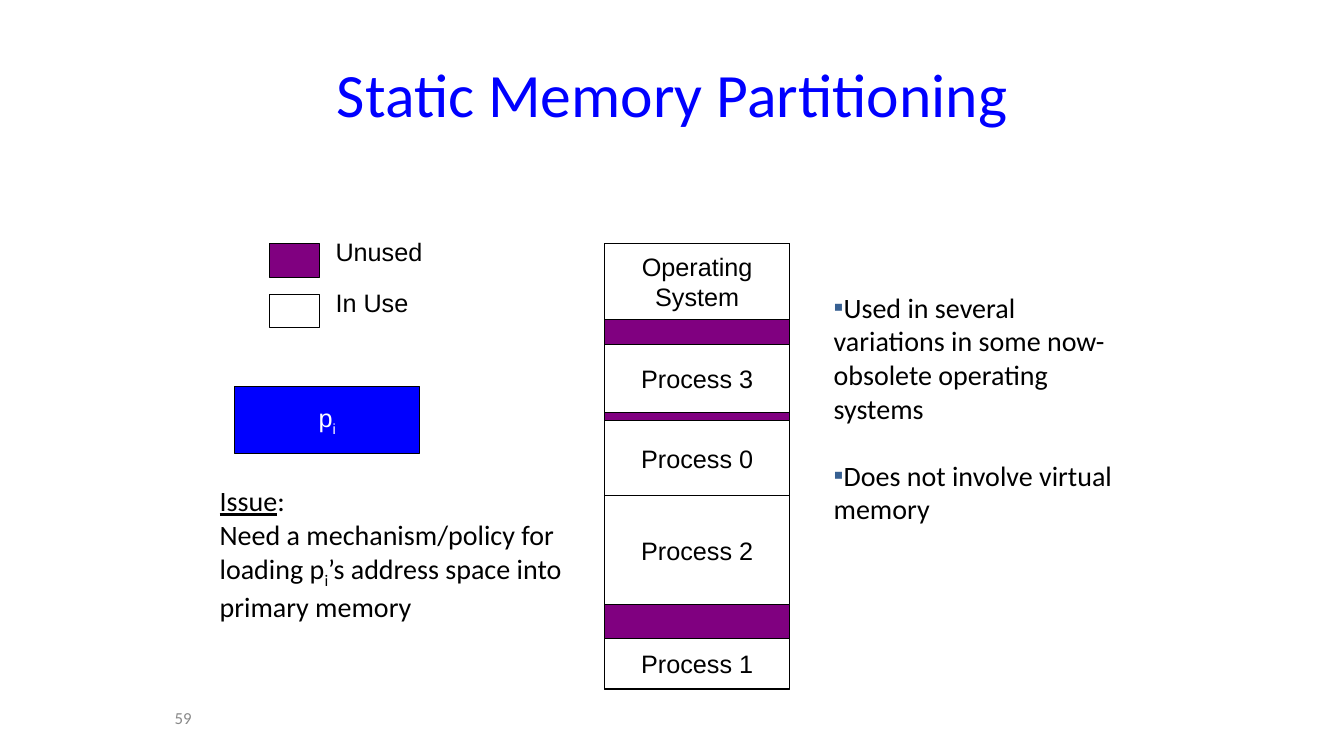
from dataclasses import dataclass

from lxml import etree
from pptx import Presentation
from pptx.dml.color import RGBColor
from pptx.enum.shapes import MSO_SHAPE
from pptx.enum.text import MSO_ANCHOR, PP_ALIGN
from pptx.oxml.ns import qn
from pptx.util import Inches, Pt

RECTANGLE = MSO_SHAPE.RECTANGLE
MIDDLE, TOP = MSO_ANCHOR.MIDDLE, MSO_ANCHOR.TOP
LEFT, CENTER, RIGHT = PP_ALIGN.LEFT, PP_ALIGN.CENTER, PP_ALIGN.RIGHT

COLORS = {
    "blue": "0000FF",
    "purple": "800080",
    "white": "FFFFFF",
    "black": "000000",
    "gray": "898989",
    "bullet": "376092",
}
TITLE_FORMAT = {"name": "Calibri", "size": Pt(44)}
BODY_FORMAT = {"name": "Calibri", "size": Pt(20)}
LABEL_FORMAT = {"name": "Arial", "size": Pt(18)}
NUMBER_FORMAT = {"name": "Calibri", "size": Pt(12)}


@dataclass
class Box:
    left: float
    top: float
    width: float
    height: float

    def lengths(self) -> list:
        return [Inches(value) for value in (self.left, self.top, self.width, self.height)]


@dataclass
class Piece:
    text: str
    underline: bool = False
    subscript: bool = False


@dataclass
class Partition:
    lines: list[str]
    height: float
    unused_above: float = 0


@dataclass
class LegendEntry:
    label: str
    color: str
    width: float


MEMORY = Box(6, 2.42, 1.83, 4.42)
PARTITIONS = [
    Partition(["Operating", "System"], 0.75),
    Partition(["Process 3"], 0.67, 0.25),
    Partition(["Process 0"], 0.75, 0.08),
    Partition(["Process 2"], 1.08),
    Partition(["Process 1"], 0.5, 0.33),
]
LEGEND = [LegendEntry("Unused", "purple", 1.07), LegendEntry("In Use", "white", 0.93)]
LEGEND_STEP = 0.5
ISSUE = [
    [Piece("Issue", underline=True), Piece(":")],
    [
        Piece("Need a mechanism/policy for loading p"),
        Piece("i", subscript=True),
        Piece("’s address space into primary memory"),
    ],
]
REMARKS = [
    "Used in several variations in some now-obsolete operating systems",
    "Does not involve virtual memory",
]


def plain(lines: list[str]) -> list[list[Piece]]:
    return [[Piece(line)] for line in lines]


def add_bullet(paragraph) -> None:
    properties = paragraph._p.get_or_add_pPr()
    properties.set("marL", "0")
    properties.set("indent", "0")
    color = etree.SubElement(properties, qn("a:buClr"))
    etree.SubElement(color, qn("a:srgbClr"), val=COLORS["bullet"])
    etree.SubElement(properties, qn("a:buFont"), typeface="Arial")
    etree.SubElement(properties, qn("a:buChar"), char="▪")


def write(shape, paragraphs: list[list[Piece]], formats: dict, color: str,
          alignment=LEFT, anchor=TOP, wrap: bool = True, bullets: bool = False) -> None:
    frame = shape.text_frame
    frame.word_wrap = wrap
    frame.vertical_anchor = anchor
    for index, pieces in enumerate(paragraphs):
        paragraph = frame.paragraphs[0] if index == 0 else frame.add_paragraph()
        paragraph.alignment = alignment
        paragraph.space_before = Pt(24) if bullets and index else Pt(0)
        if bullets:
            add_bullet(paragraph)
        for piece in pieces:
            run = paragraph.add_run()
            run.text = piece.text
            for attribute, value in formats.items():
                setattr(run.font, attribute, value)
            run.font.color.rgb = RGBColor.from_string(COLORS[color])
            if piece.underline:
                run.font.underline = True
            if piece.subscript:
                run._r.get_or_add_rPr().set("baseline", "-25000")


def add_rectangle(slide, box: Box, color: str):
    shape = slide.shapes.add_shape(RECTANGLE, *box.lengths())
    shape.shadow.inherit = False
    shape.fill.solid()
    shape.fill.fore_color.rgb = RGBColor.from_string(COLORS[color])
    shape.line.color.rgb = RGBColor.from_string(COLORS["black"])
    shape.line.width = Pt(0.75)
    return shape


def add_text(slide, box: Box, *content, **options) -> None:
    write(slide.shapes.add_textbox(*box.lengths()), *content, **options)


def add_title(slide) -> None:
    title = slide.shapes.title
    title.left, title.top, title.width, title.height = Box(0.67, 0.3, 12, 1.25).lengths()
    write(title, plain(["Static Memory Partitioning"]), TITLE_FORMAT, "blue", CENTER, MIDDLE)


def add_memory(slide) -> None:
    add_rectangle(slide, MEMORY, "purple")
    top = MEMORY.top
    for partition in PARTITIONS:
        top += partition.unused_above
        box = Box(MEMORY.left, top, MEMORY.width, partition.height)
        shape = add_rectangle(slide, box, "white")
        write(shape, plain(partition.lines), LABEL_FORMAT, "black", CENTER, MIDDLE, wrap=False)
        top += partition.height


def add_legend(slide) -> None:
    for index, entry in enumerate(LEGEND):
        offset = index * LEGEND_STEP
        add_rectangle(slide, Box(2.67, 2.42 + offset, 0.5, 0.33), entry.color)
        add_text(slide, Box(3.23, 2.3 + offset, entry.width, 0.4),
                 plain([entry.label]), LABEL_FORMAT, "black", wrap=False)


def main() -> None:
    presentation = Presentation()
    presentation.slide_width = Inches(13.33)
    presentation.slide_height = Inches(7.5)
    slide = presentation.slides.add_slide(presentation.slide_layouts[5])
    add_title(slide)
    add_text(slide, Box(8.17, 2.83, 3, 2.92), plain(REMARKS), BODY_FORMAT, "black", bullets=True)
    add_text(slide, Box(0.56, 6.92, 1.44, 0.4), plain(["59"]), NUMBER_FORMAT, "gray", RIGHT, MIDDLE)
    add_memory(slide)
    add_legend(slide)
    add_text(slide, Box(2.08, 4.75, 3.77, 1.45), ISSUE, BODY_FORMAT, "black")
    process = add_rectangle(slide, Box(2.33, 3.83, 1.83, 0.67), "blue")
    write(process, [[Piece("p"), Piece("i", subscript=True)]],
          LABEL_FORMAT, "white", CENTER, MIDDLE, wrap=False)
    presentation.save("out.pptx")


if __name__ == "__main__":
    main()
